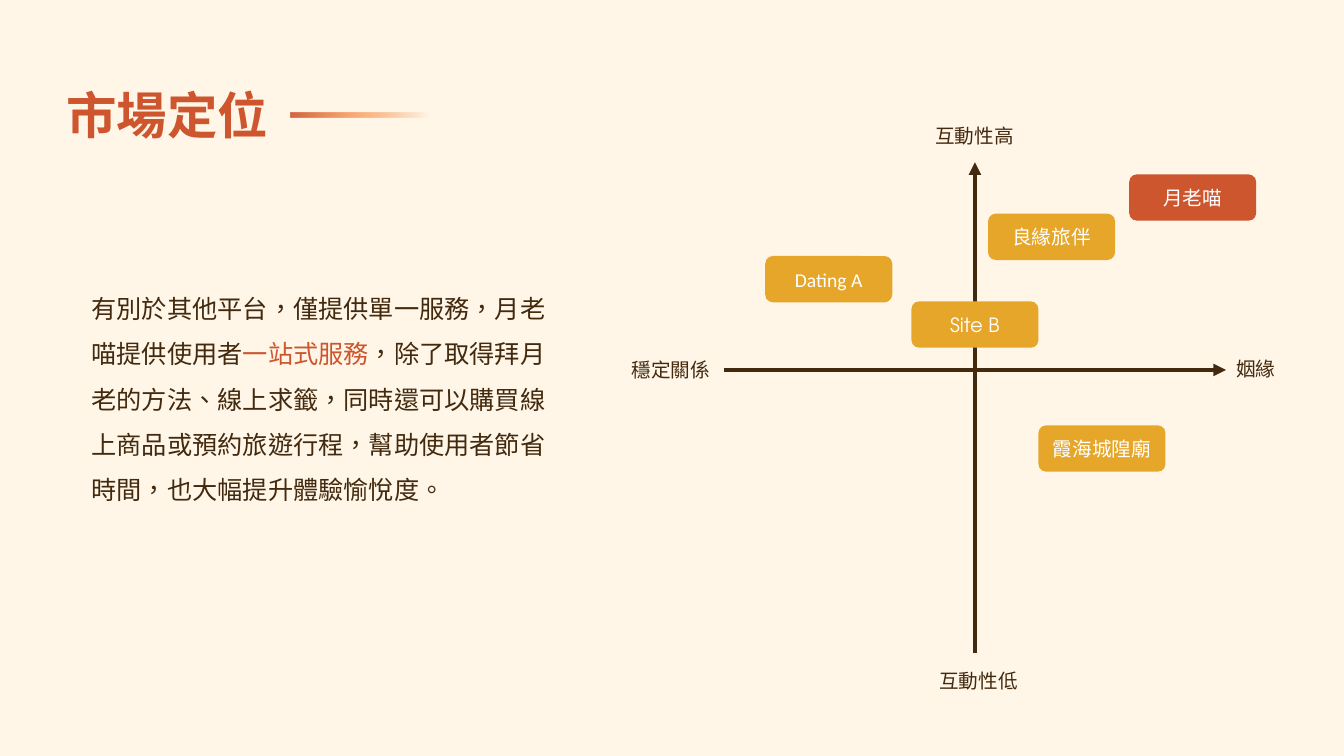
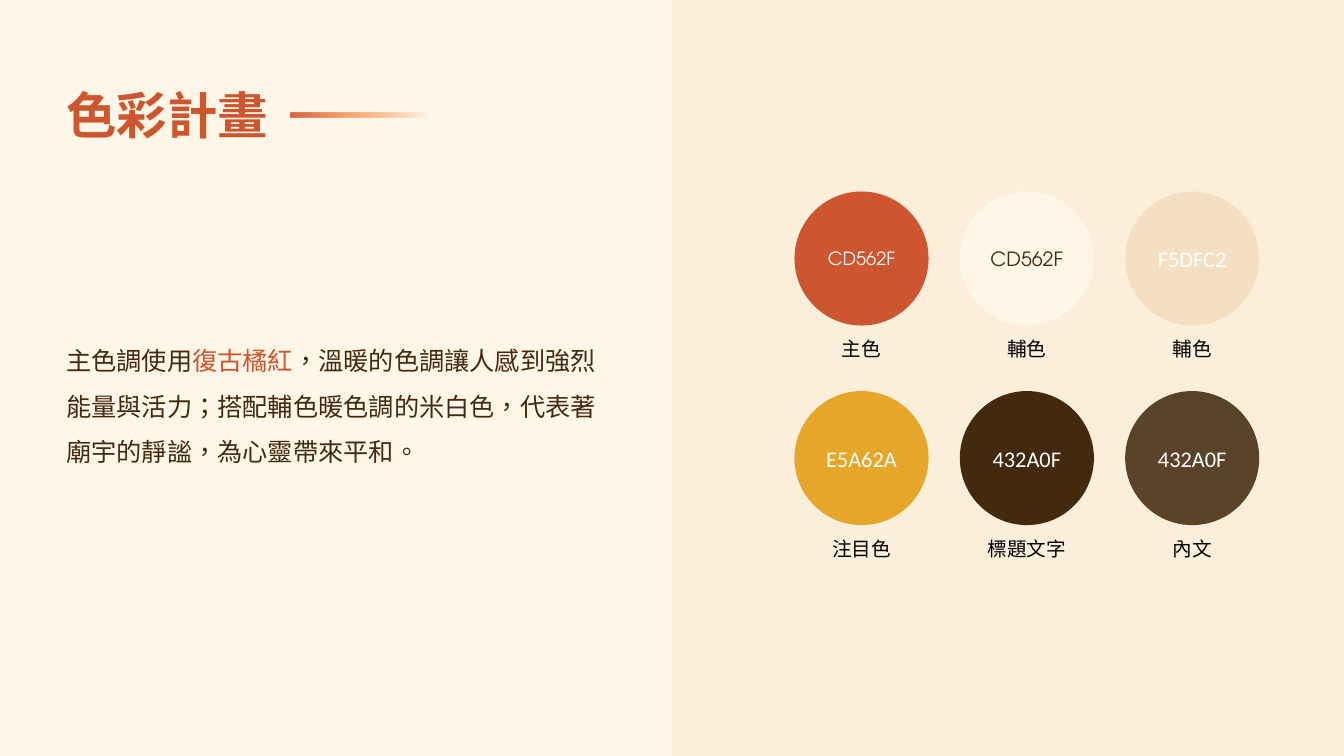
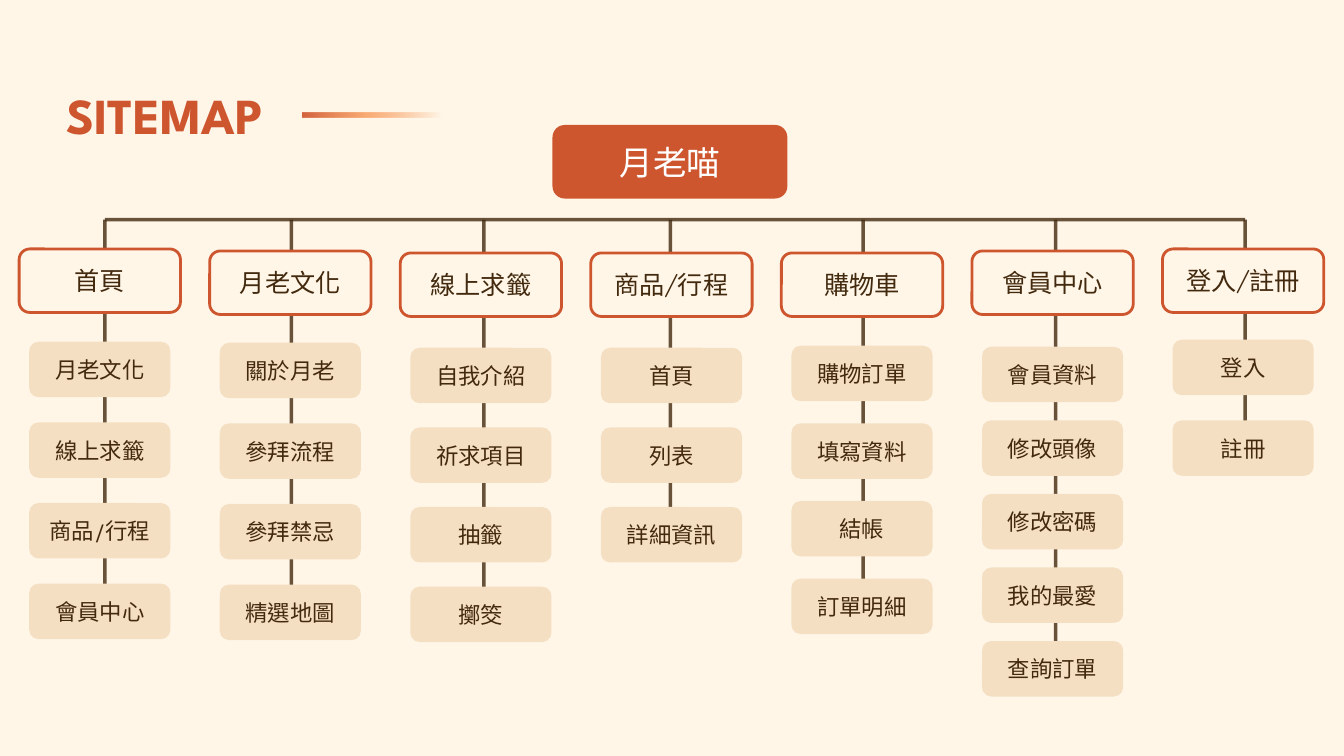
from lxml import etree
from pptx import Presentation
from pptx.dml.color import RGBColor
from pptx.enum.lang import MSO_LANGUAGE_ID as Language
from pptx.enum.shapes import MSO_CONNECTOR, MSO_SHAPE as Shape
from pptx.enum.text import MSO_ANCHOR as Anchor, PP_ALIGN as Align
from pptx.oxml import parse_xml
from pptx.oxml.ns import nsdecls, qn
from pptx.util import Inches, Pt

CREAM, SAND, RED, GOLD, BROWN = "FFF6E8", "F5DFC2", "CD562F", "E5A62A", "432A0F"
WHITE, BLACK = "FFFFFF", "000000"
TITLE_FONT, BODY_FONT, MENU_FONT, PLAIN_FONT = (
    "League Spartan", "TeX Gyre Adventor", "Quicksand", "Calibri")
TITLE_GRADIENT = f"""<a:gradFill {nsdecls("a")}><a:gsLst>
<a:gs pos="0"><a:srgbClr val="D3633F"/></a:gs>
<a:gs pos="46000"><a:srgbClr val="F89857"><a:alpha val="79000"/></a:srgbClr></a:gs>
<a:gs pos="100000"><a:srgbClr val="{CREAM}"/></a:gs>
</a:gsLst><a:lin ang="0" scaled="0"/></a:gradFill>"""


def paint(fill, color, opacity=100):
    """Give a fill one colour, with opacity in percent."""
    fill.solid()
    fill.fore_color.rgb = RGBColor.from_string(color)
    if opacity < 100:
        for node in fill._xPr.iter(qn("a:srgbClr")):
            etree.SubElement(node, qn("a:alpha")).set("val", str(opacity * 1000))


def add_box(slide, kind, at, text="", size=14, color=BROWN, font=BODY_FONT,
            fill=None, opacity=100, align=Align.CENTER):
    """Add a preset shape, or a text box when kind is None."""
    place = [Inches(value) for value in at]
    if kind is None:
        shape = slide.shapes.add_textbox(*place)
    else:
        shape = slide.shapes.add_shape(kind, *place)
        shape.shadow.inherit = False
        shape.line.fill.background()
        if fill:
            paint(shape.fill, fill, opacity)
    if text:
        frame = shape.text_frame
        frame.word_wrap = False
        frame.vertical_anchor = Anchor.MIDDLE
        paragraph = frame.paragraphs[0]
        paragraph.text = text
        paragraph.alignment = align
        paragraph.font.size = Pt(size)
        paragraph.font.name = font
        paragraph.font.language_id = Language.TRADITIONAL_CHINESE
        paint(paragraph.font.fill, color)
    return shape


# Menu columns: heading, heading top, stem x, first item top, item pitch, items
menu = [
    ("首頁", 2.47, 1.04, 3.39, 0.8, ["月老文化", "線上求籤", "商品/行程", "會員中心"]),
    ("月老文化", 2.49, 2.89, 3.4, 0.8, ["關於月老", "參拜流程", "參拜禁忌", "精選地圖"]),
    ("線上求籤", 2.51, 4.8, 3.45, 0.79, ["自我介紹", "祈求項目", "抽籤", "擲筊"]),
    ("商品/行程", 2.51, 6.65, 3.45, 0.79, ["首頁", "列表", "詳細資訊"]),
    ("購物車", 2.51, 8.56, 3.43, 0.77, ["購物訂單", "填寫資料", "結帳", "訂單明細"]),
    ("會員中心", 2.49, 10.47, 3.44, 0.73,
     ["會員資料", "修改頭像", "修改密碼", "我的最愛", "查詢訂單"]),
    ("登入/註冊", 2.47, 12.35, 3.37, 0.8, ["登入", "註冊"]),
]
axes = [(7.18, 3.67, 12.16, 3.67), (9.67, 6.48, 9.67, 1.61)]
stems = [(x, 2.18, x, top + pitch * (len(items) - 1) + 0.2)
         for _, _, x, top, pitch, items in menu]
stems.append((1.04, 2.18, 12.35, 2.18))

presentation = Presentation()
presentation.slide_width, presentation.slide_height = Inches(13.33), Inches(7.5)

# Shared frame: background, title with fading bar, and lines beneath the boxes
slides = []
for title, bar_left, lines, width, opacity, arrow in [
    ("市場定位", 2.88, axes, 3, 100, True),
    ("色彩計畫", 2.88, [], 0, 100, False),
    ("SITEMAP", 3, stems, 2.5, 80, False),
]:
    slide = presentation.slides.add_slide(presentation.slide_layouts[6])
    slides.append(slide)
    paint(slide.background.fill, CREAM)
    heading = add_box(slide, None, (0.56, 0.45, 2.49, 1.45), title, 36, RED,
                      TITLE_FONT, align=Align.LEFT)
    heading.text_frame.paragraphs[0].font.bold = True
    heading.text_frame.paragraphs[0].line_spacing = 0.9
    bar = add_box(slide, Shape.RECTANGLE, (bar_left, 1.12, 1.38, 0.05))
    bar.fill.background()
    properties = bar.element.spPr
    properties.replace(properties.find(qn("a:noFill")), parse_xml(TITLE_GRADIENT))
    for ends in lines:
        line = slide.shapes.add_connector(
            MSO_CONNECTOR.STRAIGHT, *[Inches(value) for value in ends])
        line.line.width = Pt(width)
        paint(line.line.fill, BROWN, opacity)
        properties = line.element.spPr
        if arrow:
            etree.SubElement(properties.find(qn("a:ln")), qn("a:tailEnd")).set("type", "triangle")
        etree.SubElement(properties, qn("a:effectLst"))
market, palette, sitemap = slides

# Body text with one highlighted phrase
for slide, at, parts in [
    (market, (0.81, 2.71, 4.89, 2.32),
     ["有別於其他平台，僅提供單一服務，月老喵提供使用者", "一站式服務",
      "，除了取得拜月老的方法、線上求籤，同時還可以購買線上商品或預約旅遊行程，"
      "幫助使用者節省時間，也大幅提升體驗愉悅度。"]),
    (palette, (0.56, 3.23, 5.53, 1.42),
     ["主色調使用", "復古橘紅",
      "，溫暖的色調讓人感到強烈能量與活力；搭配輔色暖色調的米白色，"
      "代表著廟宇的靜謐，為心靈帶來平和。"]),
]:
    body = add_box(slide, None, at, parts[0], 18, align=Align.LEFT)
    body.text_frame.word_wrap = True
    body.text_frame.vertical_anchor = Anchor.TOP
    paragraph = body.text_frame.paragraphs[0]
    paragraph.line_spacing = 1.5
    for part, color in zip(parts[1:], (RED, BROWN)):
        run = paragraph.add_run()
        run.text = part
        paint(run.font.fill, color)

# Market map
for text, left, top, width in [
    ("互動性高", 9.17, 1.18, 0.99), ("互動性低", 9.21, 6.58, 0.99),
    ("姻緣", 12.16, 3.49, 0.59), ("穩定關係", 6.16, 3.5, 0.99),
]:
    add_box(market, None, (left, top, width, 0.34), text)
for text, left, top, fill, font in [
    ("月老喵", 11.2, 1.73, RED, BODY_FONT),
    ("Site B", 9.04, 2.99, GOLD, BODY_FONT),
    ("霞海城隍廟", 10.3, 4.22, GOLD, BODY_FONT),
    ("良緣旅伴", 9.8, 2.12, GOLD, BODY_FONT),
    ("Dating A", 7.59, 2.54, GOLD, PLAIN_FONT),
]:
    add_box(market, Shape.ROUNDED_RECTANGLE, (left, top, 1.26, 0.46), text,
            color=WHITE, font=font, fill=fill)

# Colour swatches, three to a row
add_box(palette, Shape.RECTANGLE, (6.67, 0, 6.66, 7.5), fill=SAND, opacity=34)
for index, (label, code, fill, opacity, size, color, font) in enumerate([
    ("主色", "CD562F", "CD552F", 100, 13, WHITE, BODY_FONT),
    ("輔色", "CD562F", CREAM, 100, 14, BROWN, BODY_FONT),
    ("輔色", "F5DFC2", SAND, 100, 16, WHITE, PLAIN_FONT),
    ("注目色", "E5A62A", GOLD, 100, 16, WHITE, PLAIN_FONT),
    ("標題文字", "432A0F", BROWN, 100, 16, WHITE, PLAIN_FONT),
    ("內文", "432A0F", BROWN, 87, 16, WHITE, PLAIN_FONT),
]):
    row, column = divmod(index, 3)
    left, top = 7.88 + 1.64 * column, 1.9 + 1.98 * row
    add_box(palette, Shape.OVAL, (left, top, 1.33, 1.33), code, size, color,
            font, fill, opacity)
    add_box(palette, None, (left, top + 1.39, 1.33, 0.34), label, color=BLACK)

# Site map
add_box(sitemap, Shape.ROUNDED_RECTANGLE, (5.48, 1.24, 2.33, 0.73), "月老喵", 24,
        WHITE, MENU_FONT, RED)
for column, (name, name_top, _, top, pitch, items) in enumerate(menu):
    left = 0.19 + 1.89 * column
    heading = add_box(sitemap, Shape.ROUNDED_RECTANGLE, (left, name_top, 1.6, 0.63),
                      name, 18, font=MENU_FONT, fill=CREAM)
    paint(heading.line.fill, RED)
    heading.line.width = Pt(2)
    for row, item in enumerate(items):
        add_box(sitemap, Shape.ROUNDED_RECTANGLE,
                (left + 0.1, top + pitch * row, 1.4, 0.55), item, 16, fill=SAND)

presentation.save("out.pptx")
